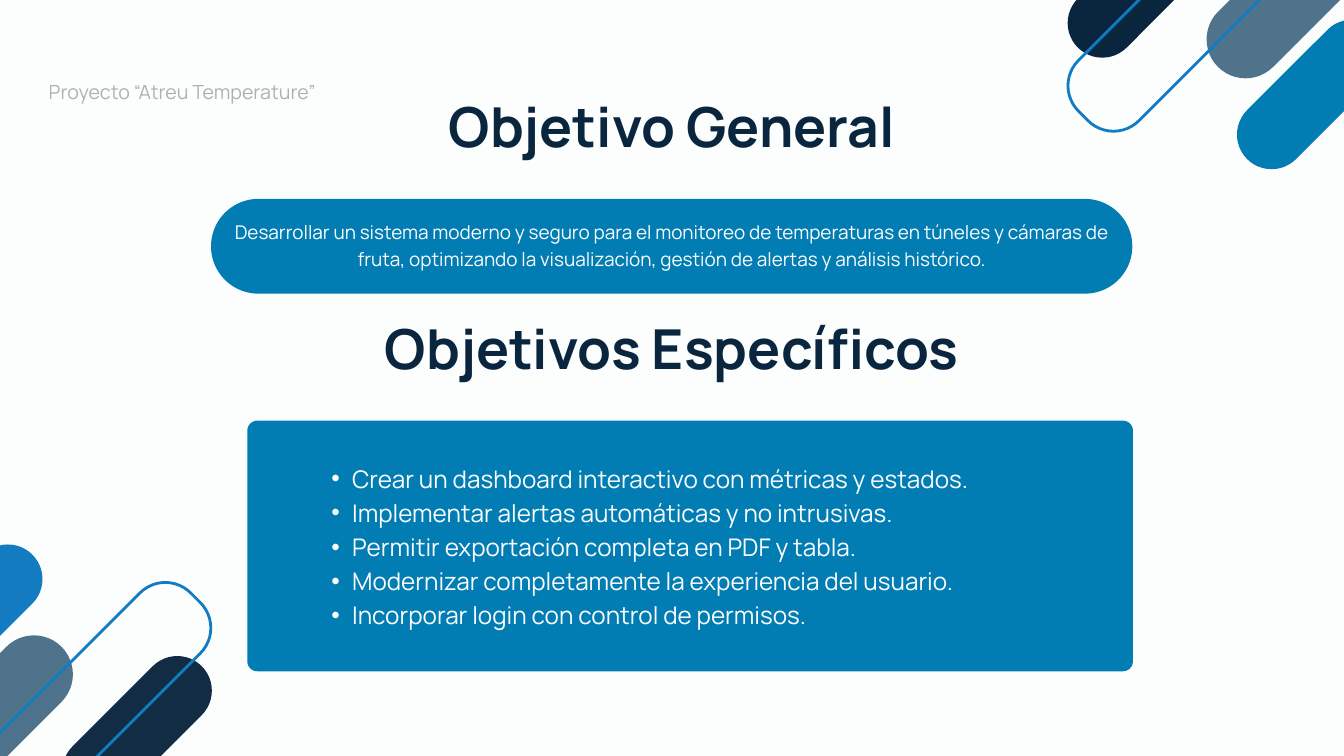
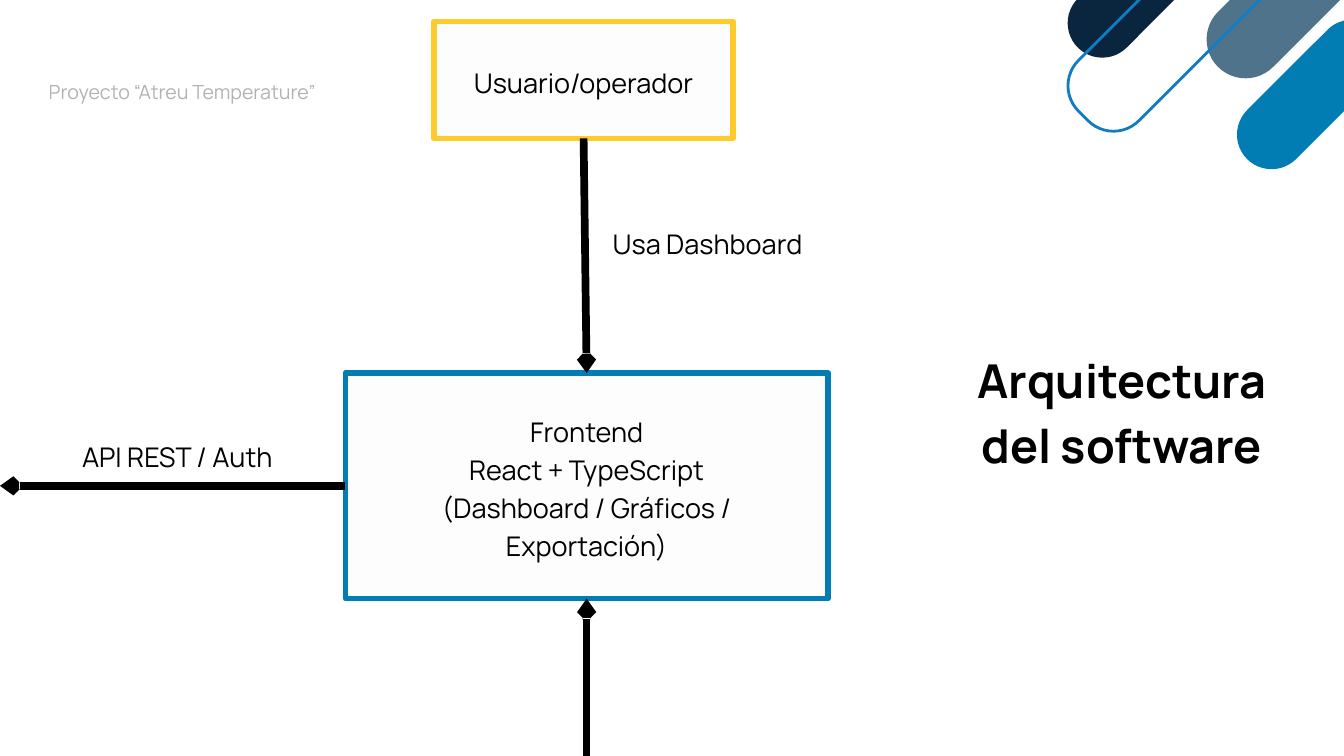
from dataclasses import dataclass
from typing import Optional

from lxml import etree
from pptx import Presentation
from pptx.dml.color import RGBColor
from pptx.enum import shapes as kinds, text as styles
from pptx.oxml.ns import qn
from pptx.util import Inches, Pt

FONT = "Manrope"
NAVY = RGBColor(0x0A, 0x25, 0x3E)
SOFT_NAVY = RGBColor(0x12, 0x2C, 0x44)
SLATE = RGBColor(0x4E, 0x73, 0x8A)
BLUE = RGBColor(0x02, 0x7D, 0xB4)
BRIGHT_BLUE = RGBColor(0x13, 0x7C, 0xC1)
OUTLINE_BLUE = RGBColor(0x11, 0x7C, 0xC2)
YELLOW = RGBColor(0xFF, 0xCB, 0x2C)
PAPER = RGBColor(0xFC, 0xFD, 0xFD)
BOX_FILL = RGBColor(0xFD, 0xFD, 0xFD)
WHITE = RGBColor(0xFF, 0xFF, 0xFF)
BLACK = RGBColor(0, 0, 0)

PROJECT = "Proyecto “Atreu Temperature”"
GOALS = [
    "Crear un dashboard interactivo con métricas y estados.",
    "Implementar alertas automáticas y no intrusivas.",
    "Permitir exportación completa en PDF y tabla.",
    "Modernizar completamente la experiencia del usuario.",
    "Incorporar login con control de permisos.",
]


@dataclass
class Block:
    """A rectangle in inches, with its fill, outline, corners and turn."""
    left: float
    top: float
    width: float
    height: float
    fill: Optional[RGBColor] = None
    line: Optional[RGBColor] = None
    line_width: float = 3
    corner: float = 0.5
    rotation: float = 0

    def place(self) -> tuple:
        return tuple(Inches(n) for n in (self.left, self.top, self.width, self.height))


# Slanted capsules of the two corners
TOP_CAPSULES = [
    Block(17.24, -1.72, 6.04, 1.16, SLATE, rotation=135),
    Block(15.64, -0.77, 2.72, 1.03, NAVY, rotation=135),
    Block(14.99, -1.64, 7.72, 1.27, line=OUTLINE_BLUE, corner=0.42, rotation=135),
    Block(18.16, 0.89, 2.72, 1.03, BLUE, rotation=135),
]
BOTTOM_CAPSULES = [
    Block(-4.24, 11.18, 6.04, 1.16, SLATE, rotation=315),
    Block(0.68, 10.36, 2.72, 1.03, SOFT_NAVY, rotation=315),
    Block(-3.68, 10.99, 7.72, 1.27, line=OUTLINE_BLUE, corner=0.42, rotation=315),
    Block(-1.84, 8.7, 2.72, 1.03, BRIGHT_BLUE, rotation=315),
]


def draw_block(slide, block: Block):
    kind = kinds.MSO_SHAPE.ROUNDED_RECTANGLE if block.corner else kinds.MSO_SHAPE.RECTANGLE
    shape = slide.shapes.add_shape(kind, *block.place())
    shape.shadow.inherit = False
    shape.rotation = block.rotation
    if block.corner:
        shape.adjustments[0] = block.corner
    if block.fill is None:
        shape.fill.background()
    else:
        shape.fill.solid()
        shape.fill.fore_color.rgb = block.fill
    if block.line is None:
        shape.line.fill.background()
    else:
        shape.line.color.rgb = block.line
        shape.line.width = Pt(block.line_width)
    return shape


def write(shape, lines: list[str], *, size: float, spacing: float, color: RGBColor,
          bold: bool = False, align=styles.PP_ALIGN.CENTER,
          anchor=styles.MSO_ANCHOR.TOP, margin: float = 0,
          bulleted: bool = False, opacity: Optional[int] = None) -> None:
    frame = shape.text_frame
    frame.text = "\n".join(lines)
    frame.word_wrap = True
    frame.auto_size = styles.MSO_AUTO_SIZE.NONE
    frame.vertical_anchor = anchor
    frame.margin_left = frame.margin_right = Inches(margin)
    frame.margin_top = frame.margin_bottom = 0
    for paragraph in frame.paragraphs:
        if bulleted:
            add_bullet(paragraph)
        paragraph.alignment = align
        paragraph.line_spacing = Pt(spacing)
        paragraph.space_before = Pt(0)
        for run in paragraph.runs:
            run.font.name = FONT
            run.font.size = Pt(size)
            run.font.bold = bold
            run.font.color.rgb = color
            if opacity is not None:
                tint = run.font.fill._xPr.find(qn("a:solidFill"))[0]
                etree.SubElement(tint, qn("a:alpha"), val=str(opacity * 1000))


def add_bullet(paragraph) -> None:
    paragraph.level = 1
    properties = paragraph._p.get_or_add_pPr()
    properties.set("marL", str(Inches(0.61)))
    properties.set("indent", str(-Inches(0.31)))
    etree.SubElement(properties, qn("a:buFont"), typeface="Arial")
    etree.SubElement(properties, qn("a:buChar"), char="•")


def add_text(slide, area: Block, lines: list[str], **style) -> None:
    write(slide.shapes.add_textbox(*area.place()), lines, **style)


def fill_placeholder(placeholder, area: Block, lines: list[str], **style) -> None:
    """Move a placeholder, bring it to the front and write in it."""
    (placeholder.left, placeholder.top,
     placeholder.width, placeholder.height) = area.place()
    element = placeholder.element
    element.getparent().append(element)
    write(placeholder, lines, **style)


def add_arrow(slide, start: tuple, end: tuple, source=None, target=None) -> None:
    """Draw an arrow; source and target are (shape, side) pairs to join."""
    arrow = slide.shapes.add_connector(
        kinds.MSO_CONNECTOR.STRAIGHT, *(Inches(n) for n in start + end))
    if source:
        arrow.begin_connect(*source)
    if target:
        arrow.end_connect(*target)
    arrow.line.color.rgb = BLACK
    arrow.line.width = Pt(8.25)
    etree.SubElement(arrow.line._get_or_add_ln(), qn("a:tailEnd"), type="arrow",
                     w="sm", len="sm")
    etree.SubElement(arrow.element.spPr, qn("a:effectLst"))


def start_slide(presentation, layout: int, background: RGBColor, capsules: list[Block]):
    """Add a slide with its background, corner capsules and project label."""
    slide = presentation.slides.add_slide(presentation.slide_layouts[layout])
    slide.background.fill.solid()
    slide.background.fill.fore_color.rgb = background
    for capsule in capsules:
        draw_block(slide, capsule)
    add_text(slide, Block(-0.5, 1.13, 6.42, 0.39), [PROJECT],
             size=21, spacing=29.4, color=BLACK, opacity=30)
    return slide


def build_goals(presentation) -> None:
    slide = start_slide(presentation, 1, PAPER, TOP_CAPSULES + BOTTOM_CAPSULES)
    heading = dict(size=59, spacing=48.4, color=NAVY, bold=True)

    # General goal
    fill_placeholder(slide.shapes.title, Block(0, 1.69, 20, 0.81),
                     ["Objetivo General"], **heading)
    draw_block(slide, Block(3.14, 2.96, 13.71, 1.41, BLUE))
    add_text(slide, Block(3.24, 3.23, 13.51, 0.79),
             ["Desarrollar un sistema moderno y seguro para el monitoreo de temperaturas "
              "en túneles y cámaras de fruta, optimizando la visualización, gestión de "
              "alertas y análisis histórico."],
             size=20.3, spacing=28.4, color=PAPER)

    # Specific goals
    add_text(slide, Block(0, 4.99, 20, 0.81), ["Objetivos Específicos"], **heading)
    draw_block(slide, Block(3.68, 6.26, 13.18, 3.73, BLUE, corner=0.04))
    fill_placeholder(slide.placeholders[1], Block(4.63, 6.83, 10.73, 2.51), GOALS,
                     size=26, spacing=36.5, color=PAPER,
                     align=styles.PP_ALIGN.LEFT, bulleted=True)


def build_architecture(presentation) -> None:
    slide = start_slide(presentation, 5, WHITE, TOP_CAPSULES)
    fill_placeholder(slide.shapes.title, Block(14.15, 5.09, 5.09, 1.95),
                     ["Arquitectura del software"],
                     size=50, spacing=70, color=BLACK, bold=True)

    # Boxes
    label = dict(size=29, spacing=40.6, color=BLACK)
    in_box = dict(label, anchor=styles.MSO_ANCHOR.MIDDLE, margin=0.5)
    user = draw_block(slide, Block(6.46, 0.32, 4.45, 1.74, BOX_FILL, YELLOW, 6, corner=0))
    write(user, ["Usuario/operador"], **in_box)
    frontend = draw_block(slide, Block(5.14, 5.55, 7.18, 3.36, BOX_FILL, BLUE, 6, corner=0))
    write(frontend, ["Frontend", "React + TypeScript",
                     "(Dashboard / Gráficos / Exportación)"], **in_box)

    # Arrows and their labels
    add_arrow(slide, (8.69, 2.06), (8.73, 5.55), source=(user, 2), target=(frontend, 0))
    add_arrow(slide, (5.14, 7.23), (0, 7.23), source=(frontend, 1))
    add_arrow(slide, (8.73, 11.25), (8.73, 8.91), target=(frontend, 2))
    add_text(slide, Block(8.03, 3.3, 5, 0.57), ["Usa Dashboard"], **label)
    add_text(slide, Block(0.14, 6.48, 5, 0.57), ["API REST / Auth"], **label)


def main() -> None:
    presentation = Presentation()
    presentation.slide_width = Inches(20)
    presentation.slide_height = Inches(11.25)
    build_goals(presentation)
    build_architecture(presentation)
    presentation.save("out.pptx")


if __name__ == "__main__":
    main()
